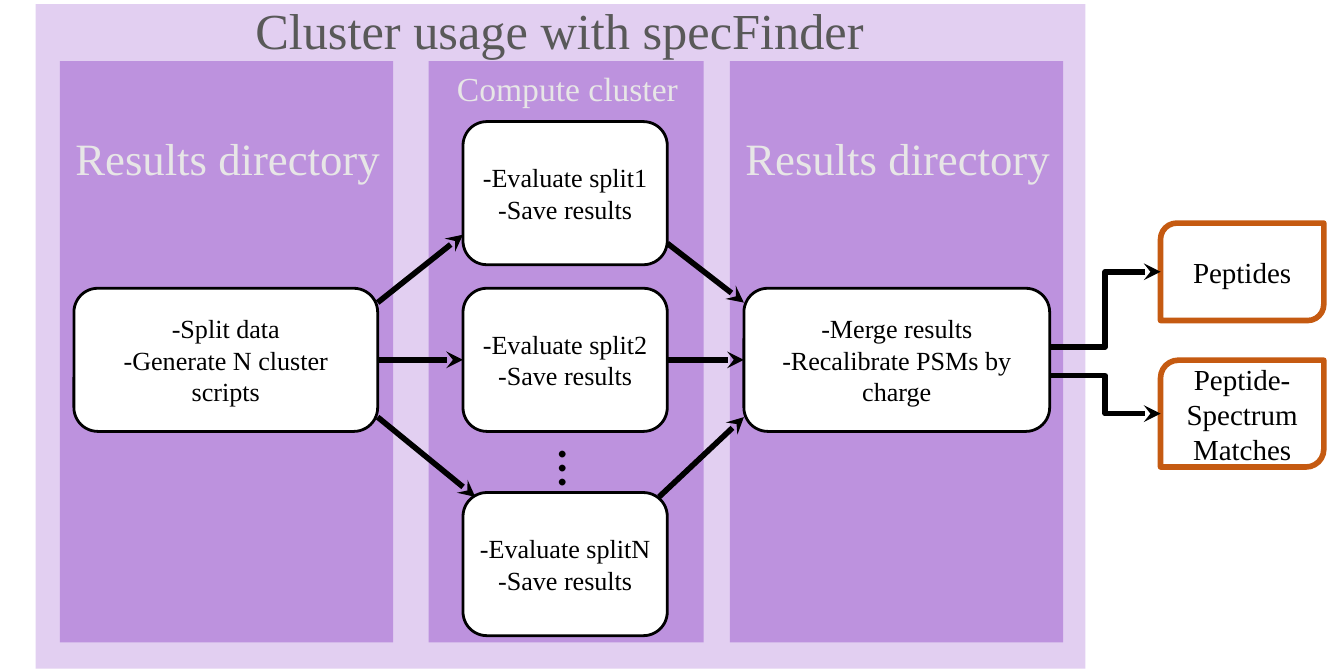
from lxml import etree
from pptx import Presentation, util as u
from pptx.dml.color import RGBColor
from pptx.enum import shapes, text
from pptx.oxml import ns

LILAC = RGBColor(0xE2, 0xCF, 0xF1)
PURPLE = RGBColor(0xBD, 0x92, 0xDE)
WHITE = RGBColor(0xFF, 0xFF, 0xFF)
BLACK = RGBColor(0, 0, 0)
GRAY = RGBColor(0x59, 0x59, 0x59)
LIGHT = RGBColor(0xE7, 0xE6, 0xE6)
ORANGE = RGBColor(0xC5, 0x5A, 0x11)
SERIF = "Times New Roman"
KIND = shapes.MSO_SHAPE

# Grid of 20 columns by 10 rows
prs = Presentation()
prs.slide_width, prs.slide_height = u.Inches(20), u.Inches(10)
COL, ROW = prs.slide_width // 20, prs.slide_height // 10


def grid(x, y, w, h):
    return round(x * COL), round(y * ROW), round(w * COL), round(h * ROW)


def write(sp, lines, size, color, font=SERIF, align=text.PP_ALIGN.CENTER, **frame):
    tf = sp.text_frame
    for name, value in ({"word_wrap": True} | frame).items():
        setattr(tf, name, value)
    for i, line in enumerate(lines):
        p = tf.add_paragraph() if i else tf.paragraphs[0]
        p.alignment = align
        r = p.add_run()
        r.text = line
        for name, value in {"size": u.Pt(size), "name": font}.items():
            setattr(r.font, name, value)
        r.font.color.rgb = color


def label(s, box, line, size, color, **style):
    sp = s.shapes.add_textbox(*grid(*box))
    write(sp, [line], size, color, **style)
    return sp


def block(s, kind, box, fill=None, line=None, width=0):
    sp = s.shapes.add_shape(kind, *grid(*box))
    sp.shadow.inherit = False
    if fill is None:
        sp.fill.background()
    else:
        sp.fill.solid()
        sp.fill.fore_color.rgb = fill
    if line is None:
        sp.line.fill.background()
    else:
        sp.line.color.rgb = line
        sp.line.width = u.Pt(width)
    return sp


def panel(s, box, title, size, drop, cards):
    """Purple panel with a heading and step cards offset from its corner."""
    x, y, w, h = box
    block(s, KIND.RECTANGLE, box, PURPLE)
    label(s, (x + 0.02, y + drop, w, 0.9), title, size, LIGHT)
    steps = []
    for dx, dy, card_w, lines in cards:
        sp = block(s, KIND.ROUNDED_RECTANGLE, (x + dx, y + dy, card_w, 2.13), WHITE, BLACK, 3)
        write(sp, lines, 28, BLACK, vertical_anchor=text.MSO_ANCHOR.MIDDLE)
        steps.append(sp)
    return steps


def outputs(s, box, items):
    """Orange result boxes, each with its own drop and height."""
    x, y, w, _ = box
    found = []
    for dy, h, line in items:
        sp = block(s, KIND.ROUND_2_DIAG_RECTANGLE, (x, y + dy, w, h), line=ORANGE, width=6)
        write(sp, [line], 31.1, BLACK, vertical_anchor=text.MSO_ANCHOR.MIDDLE)
        found.append(sp)
    return found


def point(sp, fx, fy):
    return round(sp.left + fx * sp.width), round(sp.top + fy * sp.height)


def arrow(s, start, start_share, end, end_share, kind=shapes.MSO_CONNECTOR.STRAIGHT):
    c = s.shapes.add_connector(kind, *point(start, *start_share), *point(end, *end_share))
    if kind == shapes.MSO_CONNECTOR.STRAIGHT and start_share == (1, 0.5):
        c.begin_connect(start, 3)
        c.end_connect(end, 1)
    c.line.color.rgb = BLACK
    c.line.width = u.Pt(6)
    tip = etree.SubElement(c.line._get_or_add_ln(), ns.qn("a:tailEnd"))
    tip.set("type", "stealth")
    etree.SubElement(c._element.spPr, ns.qn("a:effectLst"))


def cluster_slide():
    s = prs.slides.add_slide(prs.slide_layouts[6])

    # Background and title
    block(s, KIND.RECTANGLE, (0.53, 0.06, 15.62, 9.89), LILAC)
    label(s, (3.7, -0.06, 9.79, 1.01), "Cluster usage with specFinder", 54, GRAY,
          align=text.PP_ALIGN.LEFT)

    # Three panels
    top, height = 0.91, 8.65
    (split,) = panel(s, (0.89, top, 4.96, height), "Results directory", 48, 0.98,
                     [(0.21, 3.38, 4.52, ["-Split data", "-Generate N cluster scripts"])])
    evaluations = panel(s, (6.38, top, 4.09, height), "Compute cluster", 36, 0.05,
                        [(0.51, dy, 3.04, [f"-Evaluate split{n}", "-Save results"])
                         for n, dy in (("1", 0.9), ("2", 3.38), ("N", 6.42))])
    (merge,) = panel(s, (10.86, top, 4.96, height), "Results directory", 48, 0.98,
                     [(0.21, 3.38, 4.55, ["-Merge results", "-Recalibrate PSMs by charge"])])

    # Vertical ellipsis
    dots = label(s, (8.23, 6.42, 0.84, 1.11), "...", 60, BLACK, font="Calibri",
                 align=text.PP_ALIGN.LEFT, word_wrap=False)
    dots.rotation = 90

    # Result boxes
    results = outputs(s, (17.27, 3.32, 2.43, 3.63),
                      [(0, 1.45, "Peptides"), (2.04, 1.59, "Peptide-Spectrum Matches")])

    # Arrows: shares of each card's width and height
    rows = [(0.1, (0, 0.79), (1, 0.85)),
            (0.5, (0, 0.5), (1, 0.5)),
            (0.9, (0.06, 0.03), (0.96, 0.03))]
    for card, (side, entry, leave) in zip(evaluations, rows):
        arrow(s, split, (1, side), card, entry)
        arrow(s, card, leave, merge, (0, side))
    for result, side in zip(results, (0.41, 0.61)):
        arrow(s, merge, (1, side), result, (0, 0.5), shapes.MSO_CONNECTOR.ELBOW)


if __name__ == "__main__":
    cluster_slide()
    prs.save("out.pptx")
